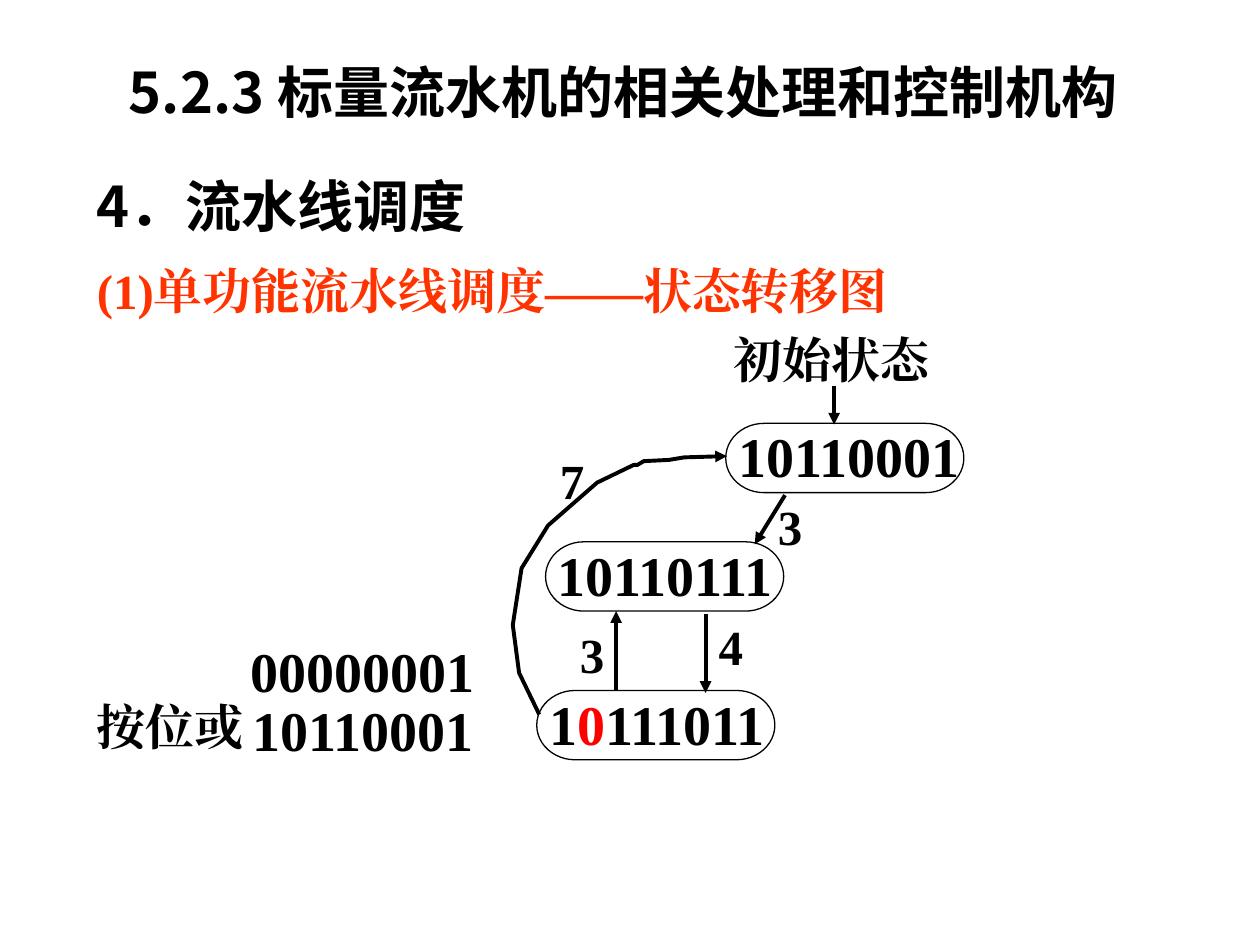
from lxml.etree import SubElement
from pptx import Presentation
from pptx.dml.color import RGBColor
from pptx.enum.shapes import MSO_CONNECTOR, MSO_SHAPE
from pptx.enum.text import MSO_ANCHOR, PP_ALIGN
from pptx.oxml.ns import qn
from pptx.util import Inches, Pt

BLACK = RGBColor(0x00, 0x00, 0x00)
RED = RGBColor(0xFF, 0x00, 0x00)
ORANGE = RGBColor(0xFF, 0x33, 0x00)
SANS = "Noto Sans CJK SC"
SERIF = "Times New Roman"
LABEL_SIZE = (0.4, 0.57)


def add_text(slide, box, runs, size=28, font=SERIF, color=BLACK,
             align=PP_ALIGN.LEFT, anchor=MSO_ANCHOR.TOP, wrap=False):
    """Place one line of bold text; runs is a string or (text, colour) pairs."""
    frame = slide.shapes.add_textbox(*map(Inches, box)).text_frame
    frame.word_wrap = wrap
    frame.vertical_anchor = anchor
    line = frame.paragraphs[0]
    line.alignment = align
    for words, run_color in [(runs, color)] if isinstance(runs, str) else runs:
        run = line.add_run()
        run.text = words
        for name, value in {"size": Pt(size), "bold": True, "name": font}.items():
            setattr(run.font, name, value)
        run.font.color.rgb = run_color
        SubElement(run.font._element, qn("a:ea"), typeface=font)


def style_arrow(arrow):
    """Black line ending in a triangle, without a shadow."""
    arrow.line.color.rgb = BLACK
    arrow.line.width = Pt(2.25)
    SubElement(arrow.line._get_or_add_ln(), qn("a:tailEnd"), type="triangle")


def add_arrow(slide, start, end):
    arrow = slide.shapes.add_connector(
        MSO_CONNECTOR.STRAIGHT, *map(Inches, start + end))
    style_arrow(arrow)
    SubElement(arrow._element.spPr, qn("a:effectLst"))


def add_state(slide, left, top, bits):
    """Rounded state outline with its collision vector."""
    add_text(slide, (left, top - 0.06, 1.98, 0.63), bits, size=32)
    outline = slide.shapes.add_shape(
        MSO_SHAPE.FLOWCHART_TERMINATOR, *map(Inches, (left, top, 1.89, 0.55)))
    outline.shadow.inherit = False
    outline.fill.background()
    outline.line.color.rgb = BLACK
    outline.line.width = Pt(0.75)


def add_headings(slide, left, top):
    add_text(slide, (left, top, 8.82, 0.88),
             "5.2.3 标量流水机的相关处理和控制机构 ", size=32, font=SANS,
             align=PP_ALIGN.CENTER, anchor=MSO_ANCHOR.MIDDLE, wrap=True)
    add_text(slide, (left + 0.08, top + 1.03, 5.04, 0.63), "4．流水线调度",
             size=32, font=SANS, anchor=MSO_ANCHOR.MIDDLE, wrap=True)
    add_text(slide, (left + 0.08, top + 1.74, 7.24, 0.57),
             "(1)单功能流水线调度——状态转移图", color=ORANGE, wrap=True)


def add_state_diagram(slide, left, top):
    def at(x, y):
        return left + x, top + y

    # States
    states = [
        (1.69, 0.79, "10110001"),
        (0.26, 1.73, "10110111"),
        (0.19, 2.91, [("1", BLACK), ("0", RED), ("111011", BLACK)]),
    ]
    for x, y, bits in states:
        add_state(slide, *at(x, y), bits)

    # Entry and straight transitions
    add_text(slide, at(1.65, 0) + (1.76, 0.57), "初始状态", align=PP_ALIGN.CENTER)
    arrows = [
        ((2.55, 0.49), (2.55, 0.80)),
        ((2.16, 1.36), (1.92, 1.75)),
        ((1.53, 2.30), (1.53, 2.93)),
        ((0.82, 2.91), (0.82, 2.28)),
    ]
    for start, end in arrows:
        add_arrow(slide, at(*start), at(*end))

    # Curved return to the initial state
    bends = [(0.21, 3.10), (0.05, 2.77), (0, 2.39), (0.07, 1.94), (0.28, 1.60),
             (0.67, 1.26), (0.96, 1.12), (0.99, 1.12), (1.04, 1.09),
             (1.24, 1.08), (1.36, 1.06), (1.70, 1.05)]
    points = [tuple(map(Inches, at(*bend))) for bend in bends]
    builder = slide.shapes.build_freeform(*points[0])
    builder.add_line_segments(points[1:], close=False)
    return_path = builder.convert_to_shape()
    return_path.shadow.inherit = False
    return_path.fill.background()
    style_arrow(return_path)

    # Transition labels
    labels = [(2.00, 1.32, "3"), (1.53, 2.27, "4"), (0.43, 2.34, "3"), (0.27, 0.96, "7")]
    for x, y, latency in labels:
        add_text(slide, at(x, y) + LABEL_SIZE, latency, align=PP_ALIGN.CENTER)


def add_bitwise_or(slide, left, top):
    for row, bits in enumerate(("00000001", "10110001")):
        add_text(slide, (left + 1.22, top + 0.47 * row, 1.98, 0.63), bits,
                 size=32, align=PP_ALIGN.CENTER)
    add_text(slide, (left, top + 0.48, 1.37, 0.57), "按位或")


def main():
    deck = Presentation()
    deck.slide_width, deck.slide_height = Inches(10), Inches(7.5)
    slide = deck.slides.add_slide(deck.slide_layouts[6])
    add_headings(slide, 0.59, 0.28)
    add_state_diagram(slide, 4.07, 2.57)
    add_bitwise_or(slide, 0.67, 5)
    deck.save("out.pptx")


if __name__ == "__main__":
    main()
